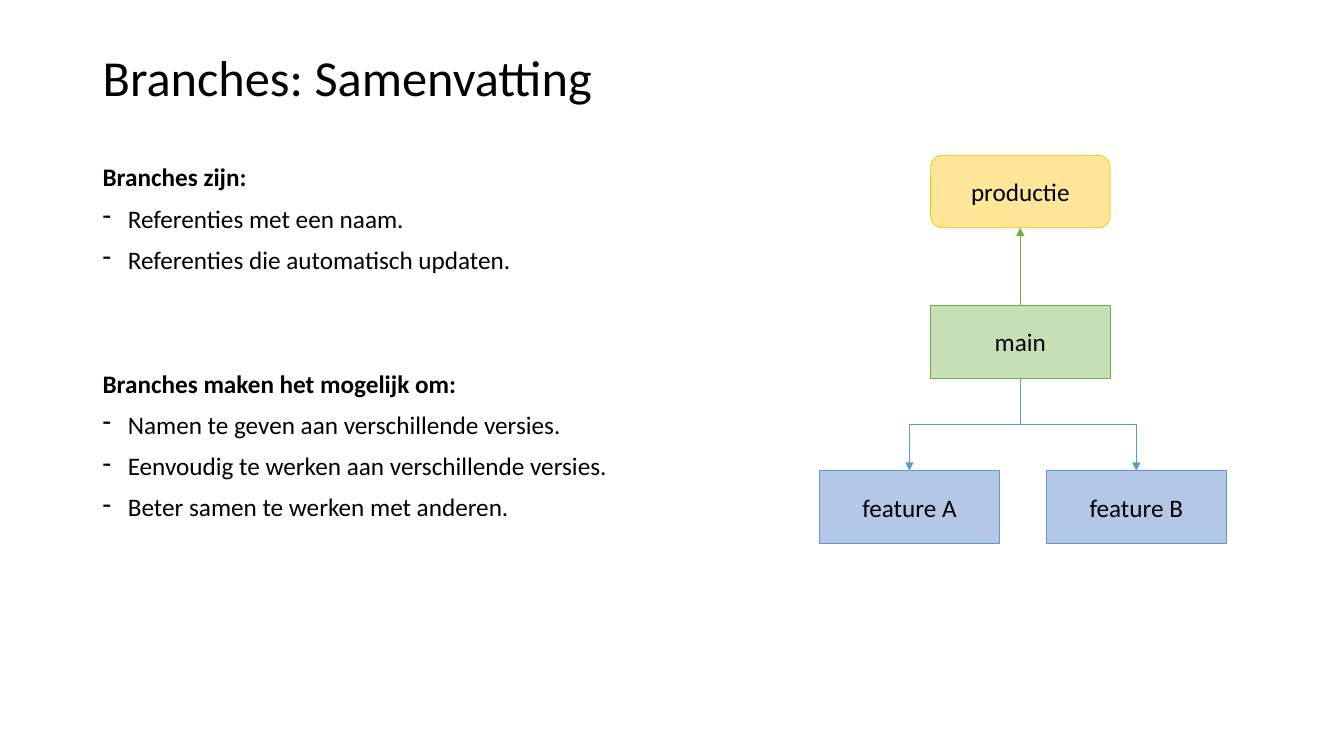
"""Build the slide that sums up branches."""
from lxml import etree
from pptx import Presentation
from pptx import util as u
from pptx.dml.color import RGBColor
from pptx.enum import shapes, text
from pptx.oxml.ns import qn

WIDE, HIGH = 13.33, 7.5
TITLE = "Branches: Samenvatting"
LISTS = [
    ("Branches zijn:", ["Referenties met een naam.", "Referenties die automatisch updaten."]),
    ("Branches maken het mogelijk om:", [
        "Namen te geven aan verschillende versies.",
        "Eenvoudig te werken aan verschillende versies.",
        "Beter samen te werken met anderen."]),
]
LEFT, BOX_W, BOX_H = 0.92, 1.78, 0.72
COLS = {"left": 9.02, "mid": 10.12, "right": 11.27}
ROWS = [1.54, 3.03, 4.67]
RECT, ROUND = shapes.MSO_SHAPE.RECTANGLE, shapes.MSO_SHAPE.ROUNDED_RECTANGLE
GREEN, BLUE = "70AD47", "5B9BD5"
NODES = [
    ("main", "mid", 1, RECT, "C5E0B4", GREEN),
    ("productie", "mid", 0, ROUND, "FFE699", "FFC000"),
    ("feature A", "left", 2, RECT, "B4C7E7", BLUE),
    ("feature B", "right", 2, RECT, "B4C7E7", BLUE),
]
LINKS = [("main", 0, "productie", 2, GREEN), ("main", 2, "feature A", 0, BLUE),
         ("main", 2, "feature B", 0, BLUE)]


def tint(code):
    """Turn a hex string into a colour."""
    return RGBColor.from_string(code)


def put(item, **vals):
    """Set attributes from format values."""
    for key, val in vals.items():
        setattr(item, key, val)


def write(para, words, size=18, bold=False):
    """Add one formatted run."""
    run = para.add_run()
    run.text = words
    put(run.font, name="Calibri", size=u.Pt(size), bold=bold)
    run.font.color.rgb = tint("000000")


def frame(slide, *place):
    """Add a wrapping text box and return its frame."""
    body = slide.shapes.add_textbox(*map(u.Inches, place)).text_frame
    body.word_wrap = True
    return body


def fill_list(body):
    """Write headings and dashed points."""
    para = body.paragraphs[0]
    for num, (head, points) in enumerate(LISTS):
        for pos, words in enumerate([head, *points]):
            if num or pos:
                para = body.add_paragraph()
                para.space_before = u.Pt(10 if pos else 69)
            para.line_spacing = 0.9
            if pos:
                props = para._p.get_or_add_pPr()
                props.set("marL", str(u.Inches(0.25)))
                props.set("indent", str(u.Inches(-0.25)))
                etree.SubElement(props, qn("a:buChar")).set("char", "-")
            write(para, words, bold=not pos)


def node(slide, name, col, row, kind, fill, edge):
    """Draw one labelled branch."""
    place = COLS[col] - BOX_W / 2, ROWS[row], BOX_W, BOX_H
    box = slide.shapes.add_shape(kind, *map(u.Inches, place))
    box.shadow.inherit = False
    box.fill.solid()
    box.fill.fore_color.rgb = tint(fill)
    box.line.color.rgb = tint(edge)
    box.line.width = u.Pt(0.5)
    box.text_frame.vertical_anchor = text.MSO_ANCHOR.MIDDLE
    para = box.text_frame.paragraphs[0]
    para.alignment = text.PP_ALIGN.CENTER
    write(para, name)
    return box


def link(slide, start, out, end, into, color):
    """Join two branches with an arrow, bent where they are not aligned."""
    kinds = shapes.MSO_CONNECTOR
    across = end.left - start.left
    line = slide.shapes.add_connector(kinds.ELBOW if across else kinds.STRAIGHT, 0, 0, 0, 0)
    line.begin_connect(start, out)
    line.end_connect(end, into)
    props = line._element.spPr
    if across:
        wide, high = line.width, line.height
        mid_x, mid_y = line.left + wide // 2, line.top + high // 2
        put(line, left=mid_x - high // 2, top=mid_y - wide // 2, width=high, height=wide)
        turn = props.find(qn("a:xfrm"))
        turn.set("rot", str((90 if across < 0 else 270) * 60000))
        turn.set("flipH", "0" if across < 0 else "1")
    line.line.color.rgb = tint(color)
    line.line.width = u.Pt(1)
    etree.SubElement(props.find(qn("a:ln")), qn("a:tailEnd")).set("type", "triangle")
    etree.SubElement(props, qn("a:effectLst"))


def main():
    """Build and save the slide."""
    deck = Presentation()
    put(deck, slide_width=u.Inches(WIDE), slide_height=u.Inches(HIGH))
    slide = deck.slides.add_slide(deck.slide_layouts[6])
    head = frame(slide, LEFT, 0.4, 11.5, 0.79)
    head.vertical_anchor = text.MSO_ANCHOR.MIDDLE
    head.paragraphs[0].line_spacing = 0.9
    write(head.paragraphs[0], TITLE, 36)
    fill_list(frame(slide, LEFT, 1.59, 6.04, 5.16))
    boxes = {item[0]: node(slide, *item) for item in NODES}
    for start, out, end, into, color in LINKS:
        link(slide, boxes[start], out, boxes[end], into, color)
    deck.save("out.pptx")


if __name__ == "__main__":
    main()
